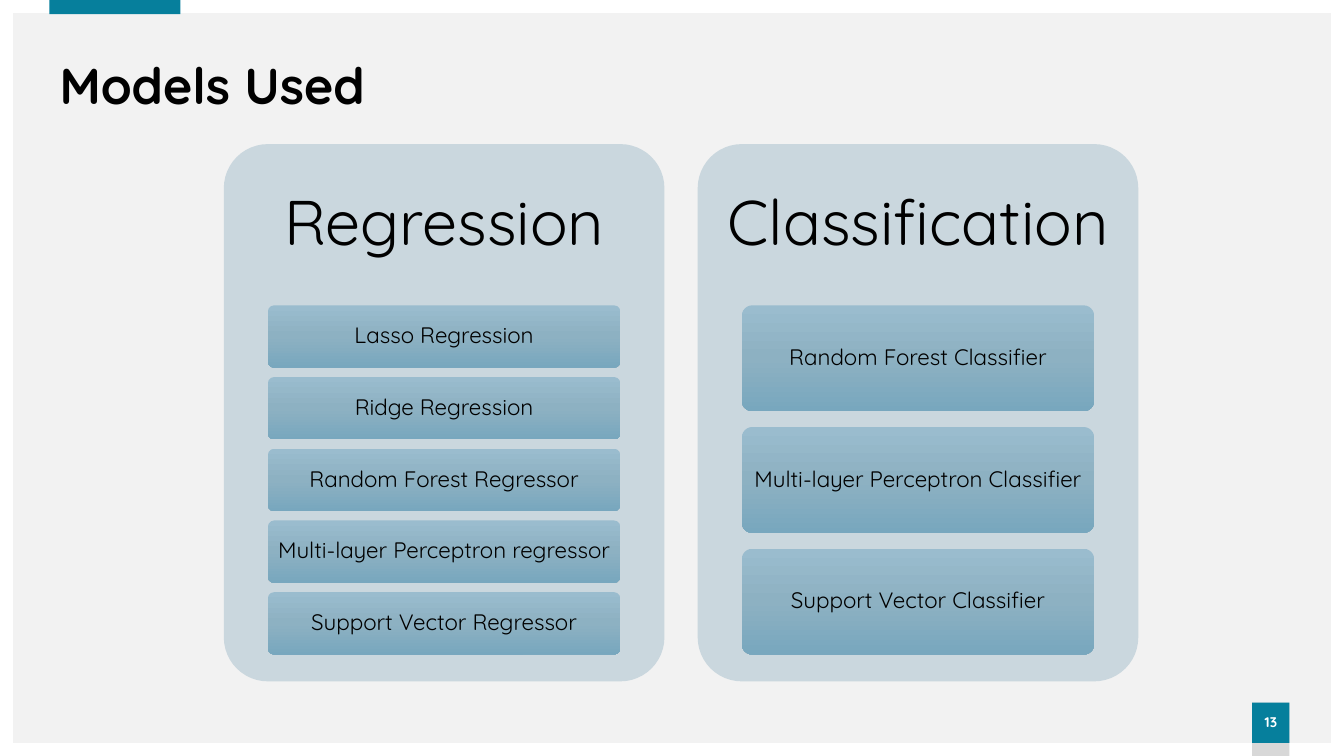
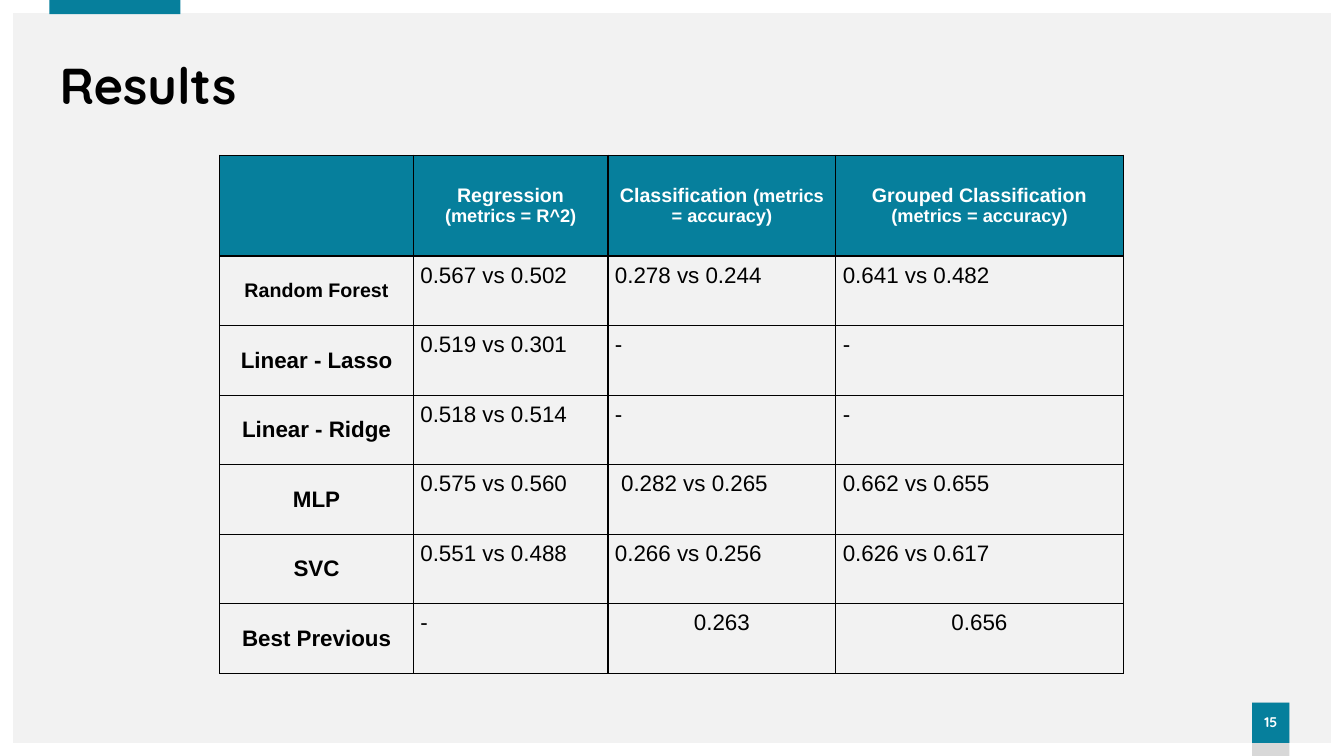
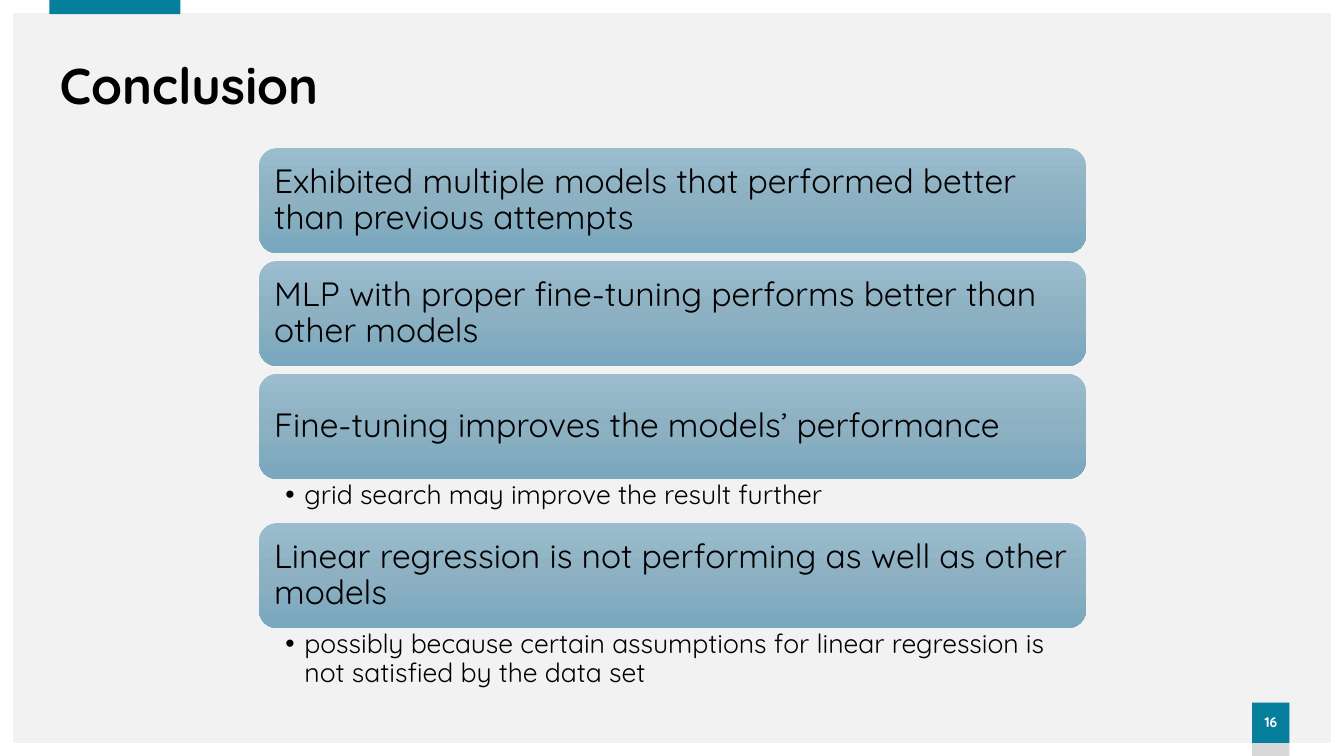
from copy import deepcopy

from lxml import etree
from pptx import Presentation
from pptx.dml.color import RGBColor
from pptx.enum.shapes import MSO_SHAPE
from pptx.enum.text import MSO_ANCHOR, PP_ALIGN
from pptx.oxml.ns import qn
from pptx.util import Inches, Pt

RECT, ROUND, FRAME = MSO_SHAPE.RECTANGLE, MSO_SHAPE.ROUNDED_RECTANGLE, MSO_SHAPE.FRAME
TOP, MIDDLE = MSO_ANCHOR.TOP, MSO_ANCHOR.MIDDLE
LEFT, CENTER = PP_ALIGN.LEFT, PP_ALIGN.CENTER
WIDE, HIGH = 13.33, 7.5

THEME = {
    "back": "F2F2F2", "white": "FFFFFF", "black": "000000",
    "teal": "067F9C", "grey": "D8D8D8", "card": "CAD7DE",
    "blend": ((0, "9ABCCE"), (0.5, "8DB1C2"), (1, "78A7BE")),
}
BASE = {"name": "Quicksand", "color": "black", "bold": False, "align": LEFT, "space": 0.9}
STYLE = {
    "title": BASE | {"size": 36, "bold": True},
    "page": BASE | {"size": 10, "bold": True, "color": "white", "align": CENTER},
    "group": BASE | {"size": 45, "align": CENTER},
    "model": BASE | {"size": 16, "align": CENTER},
    "point": BASE | {"size": 24},
    "note": BASE | {"size": 19},
}
CELL = BASE | {"name": "Arial", "size": 16, "space": 1}
STYLE |= {
    "cell": CELL,
    "mid": CELL | {"align": CENTER},
    "side": CELL | {"align": CENTER, "bold": True},
    "head": CELL | {"align": CENTER, "bold": True, "color": "white", "size": 14},
}

MODELS = {
    "Regression": ["Lasso Regression", "Ridge Regression", "Random Forest Regressor",
                   "Multi-layer Perceptron regressor", "Support Vector Regressor"],
    "Classification": ["Random Forest Classifier", "Multi-layer Perceptron Classifier",
                       "Support Vector Classifier"],
}

# A heading is a list of paragraphs, each a list of (text, size) runs.
HEADS = [
    [],
    [[("Regression", 14)], [("(metrics = R^2)", 13)]],
    [[("Classification ", 14), ("(metrics = accuracy)", 13)]],
    [[("Grouped Classification ", 14), ("(metrics = accuracy)", 13)]],
]
SCORES = [
    ("Random Forest", "0.567 vs 0.502", "0.278 vs 0.244", "0.641 vs 0.482"),
    ("Linear - Lasso", "0.519 vs 0.301", "-", "-"),
    ("Linear - Ridge", "0.518 vs 0.514", "-", "-"),
    ("MLP", "0.575 vs 0.560", " 0.282 vs 0.265", "0.662 vs 0.655"),
    ("SVC", "0.551 vs 0.488", "0.266 vs 0.256", "0.626 vs 0.617"),
    ("Best Previous", "-", "0.263", "0.656"),
]
COLS = (1.92, 1.93, 2.26, 2.85)
HEAD_ROW, ROW = 1, 0.69

# Each point has an optional note and the height that the note takes.
POINTS = [
    ("Exhibited multiple models that performed better than previous attempts", None, 0.08),
    ("MLP with proper fine-tuning performs better than other models", None, 0.08),
    ("Fine-tuning improves the models’ performance",
     "grid search may improve the result further", 0.44),
    ("Linear regression is not performing as well as other models",
     "possibly because certain assumptions for linear regression is "
     "not satisfied by the data set", 0.65),
]


def tint(key):
    return RGBColor.from_string(THEME[key])


def inches(*sizes):
    return [Inches(size) for size in sizes]


def pad(part, *sizes):
    """Set the left, top, right and bottom margins of a text frame or cell."""
    for side, size in zip(("left", "top", "right", "bottom"), sizes):
        setattr(part, "margin_" + side, Inches(size))


def mark(para):
    """Give a paragraph a hanging round bullet."""
    props = para._p.get_or_add_pPr()
    props.set("marL", str(Inches(0.19)))
    props.set("indent", str(-Inches(0.19)))
    color = etree.SubElement(props, qn("a:buClr"))
    etree.SubElement(color, qn("a:srgbClr"), val=THEME["black"])
    etree.SubElement(props, qn("a:buFont"), typeface="Arial")
    etree.SubElement(props, qn("a:buChar"), char="•")


def write(frame, text, kind, bullet=False):
    """Write a string, or a list of paragraphs of (text, size) runs."""
    style = STYLE[kind]
    lines = [[(text, style["size"])]] if isinstance(text, str) else text
    frame.word_wrap = True
    for i, runs in enumerate(lines):
        para = frame.add_paragraph() if i else frame.paragraphs[0]
        if bullet:
            mark(para)
        para.alignment, para.line_spacing = style["align"], style["space"]
        for words, size in runs:
            run = para.add_run()
            run.text = words
            for key in ("name", "bold"):
                setattr(run.font, key, style[key])
            run.font.size = Pt(size)
            run.font.color.rgb = tint(style["color"])


def block(slide, form, box, fill, adj=None):
    shape = slide.shapes.add_shape(form, *inches(*box))
    shape.shadow.inherit = False
    shape.line.fill.background()
    if adj is not None:
        shape.adjustments[0] = adj
    if fill == "blend":
        shape.fill.gradient()
        shape.fill.gradient_angle = 270
        stops = shape.element.spPr.find(".//" + qn("a:gsLst"))
        stops.append(deepcopy(stops[-1]))
        for stop, (place, color) in zip(shape.fill.gradient_stops, THEME["blend"]):
            stop.position = place
            stop.color.rgb = RGBColor.from_string(color)
    else:
        shape.fill.solid()
        shape.fill.fore_color.rgb = tint(fill)
    return shape


def label(shape, text, kind, insets, anchor=MIDDLE, bullet=False):
    frame = shape.text_frame
    frame.vertical_anchor = anchor
    pad(frame, *insets)
    write(frame, text, kind, bullet)


def note(slide, box, *args, **options):
    label(slide.shapes.add_textbox(*inches(*box)), *args, **options)


def dress(layout, slide):
    """Set the layout's background, title place and fixed bands."""
    layout.background.fill.solid()
    layout.background.fill.fore_color.rgb = tint("back")
    title = layout.placeholders[0]
    title.left, title.top, title.width, title.height = inches(0.49, 0.55, 12.22, 0.65)
    bands = [
        block(slide, FRAME, (0, 0, WIDE, HIGH), "white", 0.017),
        block(slide, RECT, (0.49, 0, 1.3, 0.14), "teal"),
        block(slide, RECT, (12.42, 6.97, 0.37, 0.53), "grey"),
    ]
    for i, band in enumerate(bands):
        band.element.nvSpPr.cNvPr.set("id", str(20 + i))
        layout.shapes.element.insert(2 + i, band.element)


def start(slide, title, page):
    label(slide.shapes.title, title, "title", (0.1, 0.05, 0.1, 0.05))
    square = block(slide, RECT, (12.42, 6.97, 0.37, 0.4), "teal")
    label(square, str(page), "page", (0, 0.05, 0, 0.05))


def models(slide):
    left, top, width, height, step = 2.22, 1.43, 4.37, 5.33, 4.7
    head, area, ratio = 0.3 * height, 0.65 * height, 0.15
    for i, (group, names) in enumerate(MODELS.items()):
        x = left + i * step
        block(slide, ROUND, (x, top, width, height), "card", 0.1)
        note(slide, (x, top, width, head), group, "group", [0.19] * 4)
        count = len(names)
        tall = area / (count + ratio * (count - 1))
        for j, name in enumerate(names):
            y = top + head + j * tall * (1 + ratio)
            pill = block(slide, ROUND, (x + 0.1 * width, y, 0.8 * width, tall), "blend", 0.1)
            label(pill, name, "model", (0.04, 0.03, 0.04, 0.03))


def edge(cell):
    """Draw a thin black line on all four sides of a cell."""
    props = cell._tc.get_or_add_tcPr()
    for side in ("lnL", "lnR", "lnT", "lnB"):
        line = etree.SubElement(props, qn("a:" + side), w=str(Pt(1)))
        fill = etree.SubElement(line, qn("a:solidFill"))
        etree.SubElement(fill, qn("a:srgbClr"), val=THEME["black"])


def results(slide):
    rows = [HEADS, *SCORES]
    size = (sum(COLS), HEAD_ROW + ROW * len(SCORES))
    table = slide.shapes.add_table(len(rows), len(COLS), *inches(2.18, 1.54, *size)).table
    for col, width in zip(table.columns, COLS):
        col.width = Inches(width)
    for r, texts in enumerate(rows):
        table.rows[r].height = Inches(ROW if r else HEAD_ROW)
        for c, text in enumerate(texts):
            cell = table.cell(r, c)
            edge(cell)
            pad(cell, *[0.07] * 4)
            cell.vertical_anchor = TOP if r and c else MIDDLE
            if r:
                cell.fill.background()
            else:
                cell.fill.solid()
                cell.fill.fore_color.rgb = tint("teal")
            last = r == len(SCORES) and c > 1
            kind = "head" if not r else "side" if not c else "mid" if last else "cell"
            if r == 1 and not c:
                text = [[(text, 14)]]
            write(cell.text_frame, text, kind)


def ending(slide):
    left, top, width, tall = 2.57, 1.47, 8.2, 1.04
    for point, extra, room in POINTS:
        bar = block(slide, ROUND, (left, top, width, tall), "blend", 0.167)
        label(bar, point, "point", [0.1] * 4)
        top += tall
        if extra:
            note(slide, (left, top, width, room), extra, "note",
                 (0.26, 0.03, 0.19, 0.03), anchor=TOP, bullet=True)
        top += room


def main():
    deck = Presentation()
    deck.slide_width, deck.slide_height = inches(WIDE, HIGH)
    layout = deck.slide_layouts[5]
    pages = [("Models Used", 13, models), ("Results", 15, results), ("Conclusion", 16, ending)]
    for i, (title, page, fill) in enumerate(pages):
        slide = deck.slides.add_slide(layout)
        if i == 0:
            dress(layout, slide)
        start(slide, title, page)
        fill(slide)
    deck.save("out.pptx")


if __name__ == "__main__":
    main()
